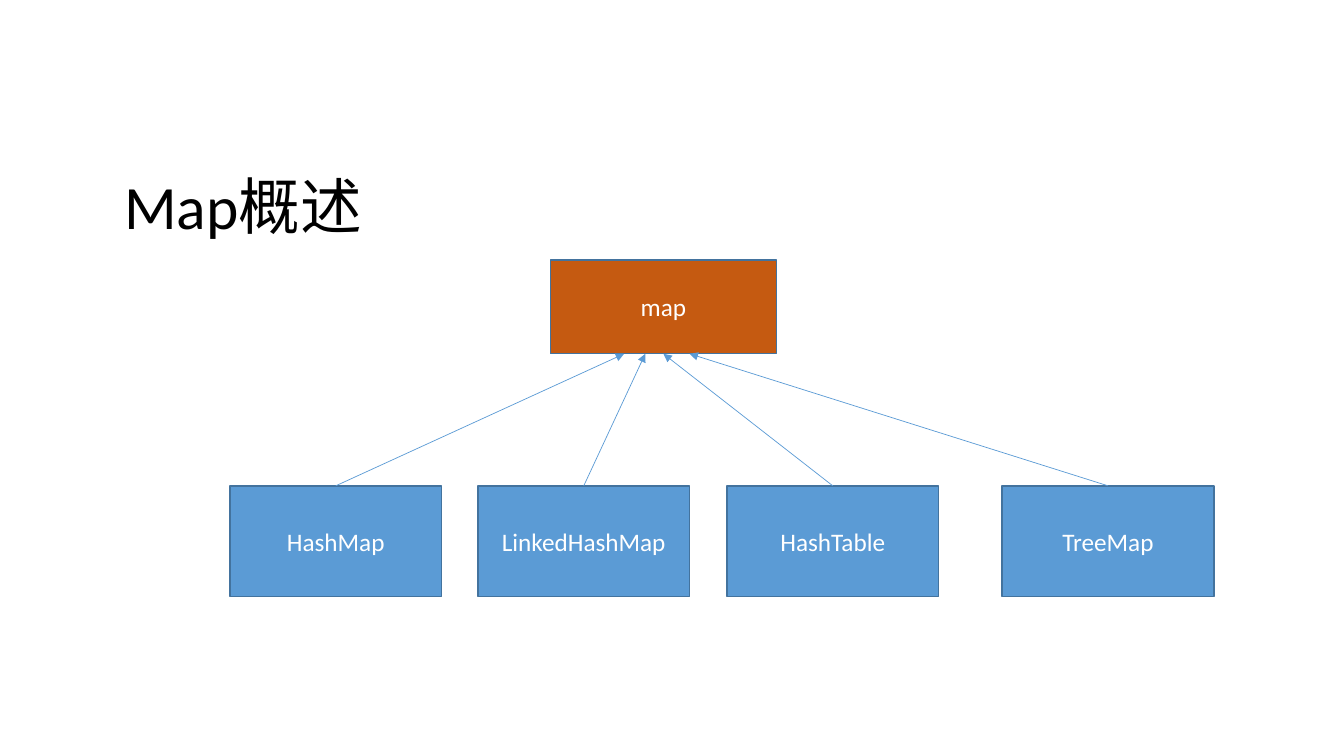
from lxml import etree
from pptx import Presentation
from pptx.dml.color import RGBColor
from pptx.enum.shapes import MSO_CONNECTOR, MSO_SHAPE
from pptx.enum.text import MSO_ANCHOR, MSO_AUTO_SIZE, PP_ALIGN
from pptx.oxml.ns import qn
from pptx.util import Inches, Pt

RECTANGLE = MSO_SHAPE.RECTANGLE
STRAIGHT = MSO_CONNECTOR.STRAIGHT
BOTTOM, MIDDLE = MSO_ANCHOR.BOTTOM, MSO_ANCHOR.MIDDLE
LEFT, CENTER = PP_ALIGN.LEFT, PP_ALIGN.CENTER
NO_AUTOFIT = MSO_AUTO_SIZE.NONE

BLACK = RGBColor(0x00, 0x00, 0x00)
WHITE = RGBColor(0xFF, 0xFF, 0xFF)
ORANGE = RGBColor(0xC5, 0x5A, 0x11)
BLUE = RGBColor(0x5B, 0x9B, 0xD5)
OUTLINE = RGBColor(0x43, 0x73, 0x9E)

MAP_TOP, MAP_HEIGHT = 2.58, 0.93
CLASS_TOP, CLASS_WIDTH, CLASS_HEIGHT = 4.82, 2.1, 1.1


def write(frame, text, size, color, align, anchor):
    frame.text = text
    frame.word_wrap = True
    frame.auto_size = NO_AUTOFIT
    frame.vertical_anchor = anchor
    para = frame.paragraphs[0]
    para.alignment = align
    font = para.runs[0].font
    font.name, font.size = "Calibri", Pt(size)
    font.color.rgb = color


def add_box(page, text, left, top, width, height, fill):
    box = page.shapes.add_shape(
        RECTANGLE, Inches(left), Inches(top), Inches(width), Inches(height))
    box.shadow.inherit = False
    box.fill.solid()
    box.fill.fore_color.rgb = fill
    box.line.color.rgb = OUTLINE
    box.line.width = Pt(1)
    write(box.text_frame, text, 18, WHITE, CENTER, MIDDLE)


deck = Presentation()
deck.slide_width, deck.slide_height = Inches(13.33), Inches(7.5)
page = deck.slides.add_slide(deck.slide_layouts[5])

# Title
title = page.shapes.title
title.left, title.top = Inches(1.13), Inches(1.4)
title.width, title.height = Inches(10.53), Inches(1.06)
write(title.text_frame, "Map概述", 44, BLACK, LEFT, BOTTOM)
title.text_frame.paragraphs[0].line_spacing = 0.9

# Map interface
add_box(page, "map", 5.46, MAP_TOP, 2.24, MAP_HEIGHT, ORANGE)

# Implementing classes: name, left edge, where the arrow meets the map box
classes = [
    ("HashMap", 2.28, 6.19),
    ("LinkedHashMap", 4.74, 6.4),
    ("HashTable", 7.21, 6.58),
    ("TreeMap", 9.94, 6.84),
]
for name, left, arrow_end in classes:
    add_box(page, name, left, CLASS_TOP, CLASS_WIDTH, CLASS_HEIGHT, BLUE)

    # Arrow from the top centre of the class to the map box
    arrow = page.shapes.add_connector(
        STRAIGHT, Inches(left + CLASS_WIDTH / 2), Inches(CLASS_TOP),
        Inches(arrow_end), Inches(MAP_TOP + MAP_HEIGHT))
    arrow.line.color.rgb = BLUE
    arrow.line.width = Pt(0.5)
    line = arrow.line._get_or_add_ln()
    etree.SubElement(line, qn("a:tailEnd"), type="triangle")
    etree.SubElement(arrow._element.spPr, qn("a:effectLst"))

deck.save("out.pptx")
